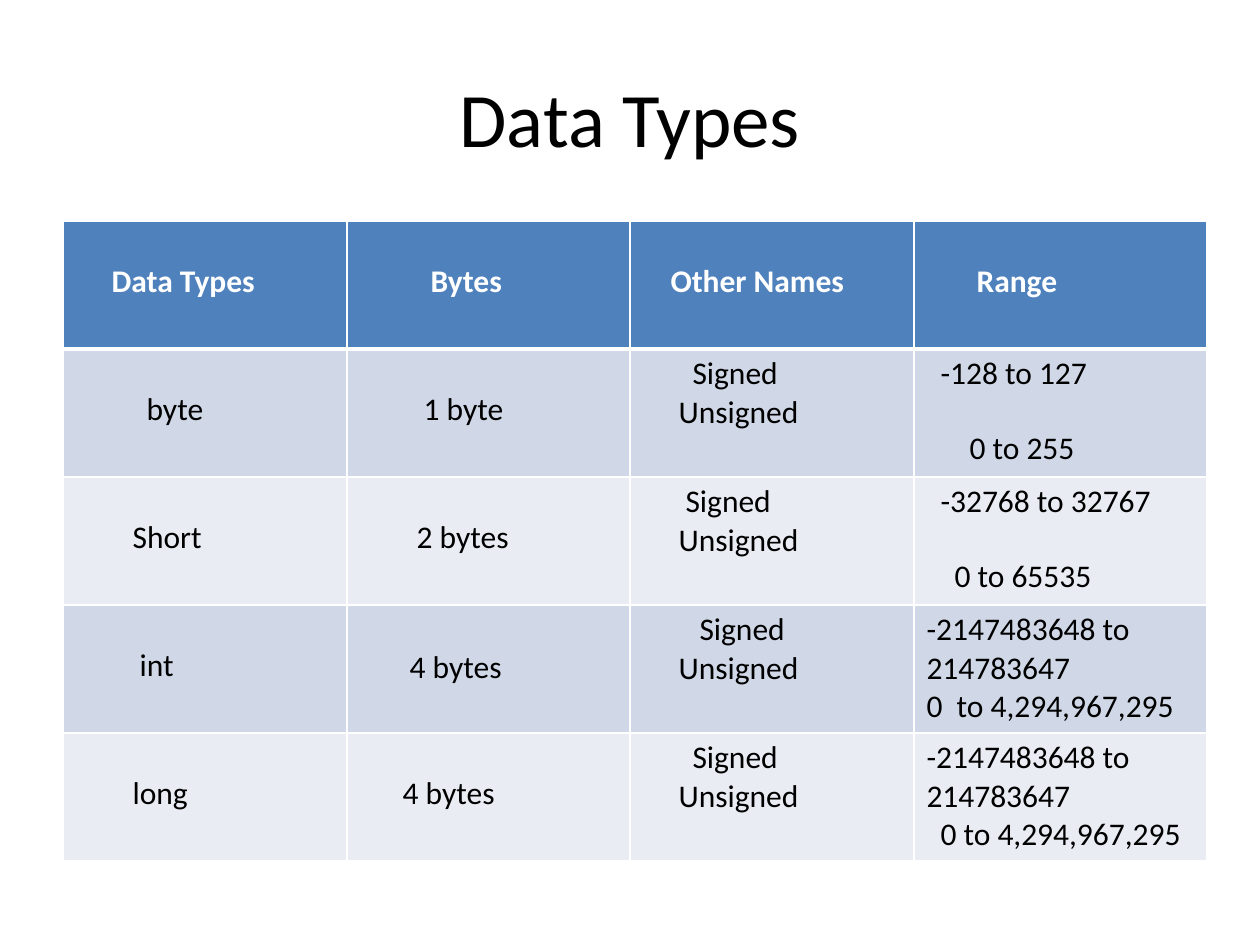
import pptx
import pptx.util
import pptx.dml.color
import pptx.enum.text
import lxml.etree

# Content: each cell is (top gap, lines); each line is (indent, text, gap before)
TITLE = "Data Types"
GAP = 36


def low(indent, text, gap=GAP):
    return gap, [(indent, text, 0)]


def names(indent):
    return 0, [(indent, "Signed", 0), (36, "Unsigned", 0)]


def span(one, two, gap=0):
    return 0, [(*one, 0), (*two, gap)]


LONG = (0, "-2147483648 to 214783647")
ROWS = [
    [low(36, "Data Types"), low(71, "Bytes"), low(28, "Other Names"), low(50, "Range")],
    [low(71, "byte"), low(64, "1 byte"), names(50),
     span((14, "-128 to 127"), (43, "0 to 255"), GAP)],
    [low(57, "Short"), low(57, "2 bytes"), names(43),
     span((14, "-32768 to 32767"), (28, "0 to 65535"), GAP)],
    [low(64, "int"), low(50, "4 bytes", 38), names(57),
     span(LONG, (0, "0  to 4,294,967,295"))],
    [low(57, "long"), low(43, "4 bytes"), names(50),
     span(LONG, (14, "0 to 4,294,967,295"))],
]
WIDTHS = [284, 283, 284, 293]
HIGH = 128
HEAD, BANDS = "4F81BD", ["E9ECF3", "D0D8E7"]


def px(n):
    return round(n * 914400 / 126)


def tint(code):
    return pptx.dml.color.RGBColor.from_string(code)


def write(para, text, size=18, color="000000", bold=False, indent=0, gap=0, align=None):
    run = para.add_run()
    run.text = text
    run.font.name = "Calibri"
    run.font.size = pptx.util.Pt(size)
    run.font.bold = bold
    run.font.color.rgb = tint(color)
    para.alignment = align
    para.space_before = px(gap)
    props = para._p.get_or_add_pPr()
    props.set("marL", str(px(indent)))
    props.set("indent", "0")


def edge(cell, sides):
    # Border lines come before the fill in the cell properties
    props = cell._tc.get_or_add_tcPr()
    space = "http://schemas.openxmlformats.org/drawingml/2006/main"
    for spot, (side, width) in enumerate(sides.items()):
        line = lxml.etree.Element("{%s}ln%s" % (space, side), w=str(pptx.util.Pt(width)))
        fill = lxml.etree.SubElement(line, "{%s}solidFill" % space)
        lxml.etree.SubElement(fill, "{%s}srgbClr" % space, val="FFFFFF")
        props.insert(spot, line)


deck = pptx.Presentation()
deck.slide_width, deck.slide_height = px(1260), px(945)
slide = deck.slides.add_slide(deck.slide_layouts[5])

# Title
title = slide.shapes.title
title.left, title.top, title.width, title.height = px(63), px(38), px(1134), px(157)
title.text_frame.vertical_anchor = pptx.enum.text.MSO_ANCHOR.MIDDLE
write(title.text_frame.paragraphs[0], TITLE, size=44,
      align=pptx.enum.text.PP_ALIGN.CENTER)

# Table
frame = slide.shapes.add_table(len(ROWS), len(WIDTHS), px(63), px(221),
                               px(sum(WIDTHS)), px(HIGH * len(ROWS)))
table = frame.table
table.horz_banding = False
for col, width in zip(table.columns, WIDTHS):
    col.width = px(width)

for r, row in enumerate(ROWS):
    table.rows[r].height = px(HIGH)
    top = r == 0
    for c, (gap, lines) in enumerate(row):
        cell = table.cell(r, c)
        cell.margin_top = px(6 + gap)
        cell.fill.solid()
        cell.fill.fore_color.rgb = tint(HEAD if top else BANDS[r % 2])
        edge(cell, {"L": 0.96, "R": 0.96, "T": 3 if r == 1 else 0.96,
                    "B": 3 if top else 0.96})
        for n, (indent, text, skip) in enumerate(lines):
            para = cell.text_frame.add_paragraph() if n else cell.text_frame.paragraphs[0]
            write(para, text, color="FFFFFF" if top else "000000", bold=top,
                  indent=indent, gap=skip)

deck.save("out.pptx")
